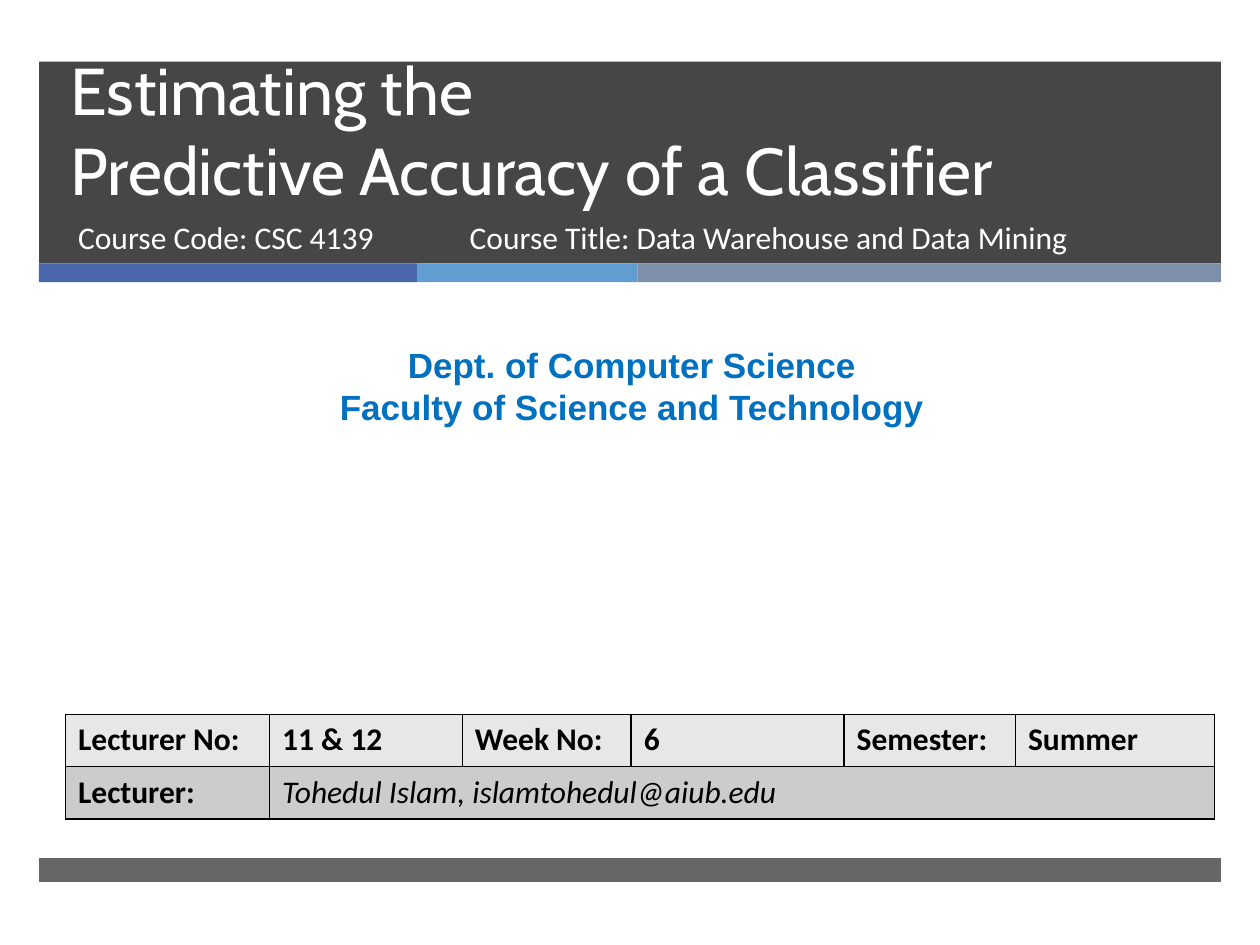
from lxml import etree
from pptx import Presentation
from pptx.dml.color import RGBColor
from pptx.enum.shapes import MSO_SHAPE
from pptx.enum.text import MSO_ANCHOR, MSO_AUTO_SIZE, PP_ALIGN
from pptx.oxml.ns import qn
from pptx.util import Inches, Pt

RECT = MSO_SHAPE.RECTANGLE
TOP, BOTTOM = MSO_ANCHOR.TOP, MSO_ANCHOR.BOTTOM
LEFT, CENTER = PP_ALIGN.LEFT, PP_ALIGN.CENTER
NO_FIT = MSO_AUTO_SIZE.NONE
DARK, WHITE, BLACK, BLUE = "262626", "FFFFFF", "000000", "0070C0"
STRIPES = [(3, "4A66AC"), (1.75, "629DD1"), (4.63, "7F8FA9")]
COLS = [1.62, 1.53, 1.34, 1.69, 1.36, 1.58]
ROWS = [
    ("E7E7E7", ["Lecturer No:", "11 & 12", "Week No:", "6", "Semester:", "Summer"]),
    ("CCCCCC", ["Lecturer:", "Tohedul Islam, islamtohedul@aiub.edu"]),
]


def color(code):
    return RGBColor.from_string(code)


def write(frame, text, font="Calibri", size=18, fill=WHITE, bold=False,
          italic=False, align=LEFT, lead=None):
    """Fill a text frame, one paragraph for each line of text."""
    frame.text = text
    for para in frame.paragraphs:
        para.alignment = align
        para.space_before = Pt(0)
        if lead:
            para.line_spacing = Pt(lead)
        for run in para.runs:
            run.font.name, run.font.size = font, Pt(size)
            run.font.bold, run.font.italic = bold, italic
            run.font.color.rgb = color(fill)


def place(shape, box, anchor=TOP):
    shape.left, shape.top, shape.width, shape.height = map(Inches, box)
    frame = shape.text_frame
    frame.word_wrap = True
    frame.auto_size = NO_FIT
    frame.vertical_anchor = anchor
    return frame


def add_text(slide, box, text, **style):
    shape = slide.shapes.add_textbox(*map(Inches, box))
    write(place(shape, box), text, **style)


def add_bar(slide, box, fill, alpha=100):
    bar = slide.shapes.add_shape(RECT, *map(Inches, box))
    bar.shadow.inherit = False
    bar.line.fill.background()
    bar.fill.solid()
    bar.fill.fore_color.rgb = color(fill)
    if alpha < 100:
        tint = bar._element.spPr.find(".//" + qn("a:srgbClr"))
        etree.SubElement(tint, qn("a:alpha"), val=str(alpha * 1000))


def add_header(slide, box):
    x, y, wide, high = box
    add_bar(slide, box, DARK, 85)
    left = x
    for width, fill in STRIPES:
        add_bar(slide, (left, y + high, width, 0.15), fill)
        left += width

    title, sub = slide.placeholders
    for holder in (title, sub):
        slide.shapes._spTree.append(holder._element)
    frame = place(title, (x + 0.15, y + 0.03, 8.54, 1.19), BOTTOM)
    write(frame, "Estimating the \vPredictive Accuracy of a Classifier",
          font="Cabin", size=37.8, lead=46)
    write(place(sub, (x + 0.21, y + 1.19, 3.05, 0.53)), "Course Code: CSC 4139")
    add_text(slide, (x + 3.32, y + 1.19, 5.07, 0.53),
             "Course Title: Data Warehouse and Data Mining")


def add_border(cell):
    props = cell._tc.get_or_add_tcPr()
    for side in ("lnL", "lnR", "lnT", "lnB"):
        line = etree.SubElement(props, qn("a:" + side), w=str(Pt(1)))
        fill = etree.SubElement(line, qn("a:solidFill"))
        etree.SubElement(fill, qn("a:srgbClr"), val=BLACK)


def add_details(slide, box):
    table = slide.shapes.add_table(len(ROWS), len(COLS), *map(Inches, box)).table
    for col, width in zip(table.columns, COLS):
        col.width = Inches(width)
    table.cell(1, 1).merge(table.cell(1, len(COLS) - 1))
    for r, (fill, texts) in enumerate(ROWS):
        for c in range(len(COLS)):
            cell = table.cell(r, c)
            add_border(cell)
            cell.fill.solid()
            cell.fill.fore_color.rgb = color(fill)
            if c < len(texts):
                name = r == 1 and c == 1
                write(cell.text_frame, texts[c], fill=BLACK,
                      bold=not name, italic=name)


def main():
    deck = Presentation()
    deck.slide_width, deck.slide_height = Inches(10), Inches(7.5)
    # The title layout holds both the title and the course code subtitle.
    slide = deck.slides.add_slide(deck.slide_layouts[0])
    add_bar(slide, (0.31, 6.81, 9.38, 0.19), DARK, 70)
    add_header(slide, (0.31, 0.49, 9.38, 1.6))
    add_text(slide, (0.08, 2.68, 9.87, 0.77),
             "Dept. of Computer Science\nFaculty of Science and Technology",
             font="Arial", size=20, fill=BLUE, bold=True, align=CENTER)
    add_details(slide, (0.52, 5.67, 9.12, 0.83))
    deck.save("out.pptx")


if __name__ == "__main__":
    main()
